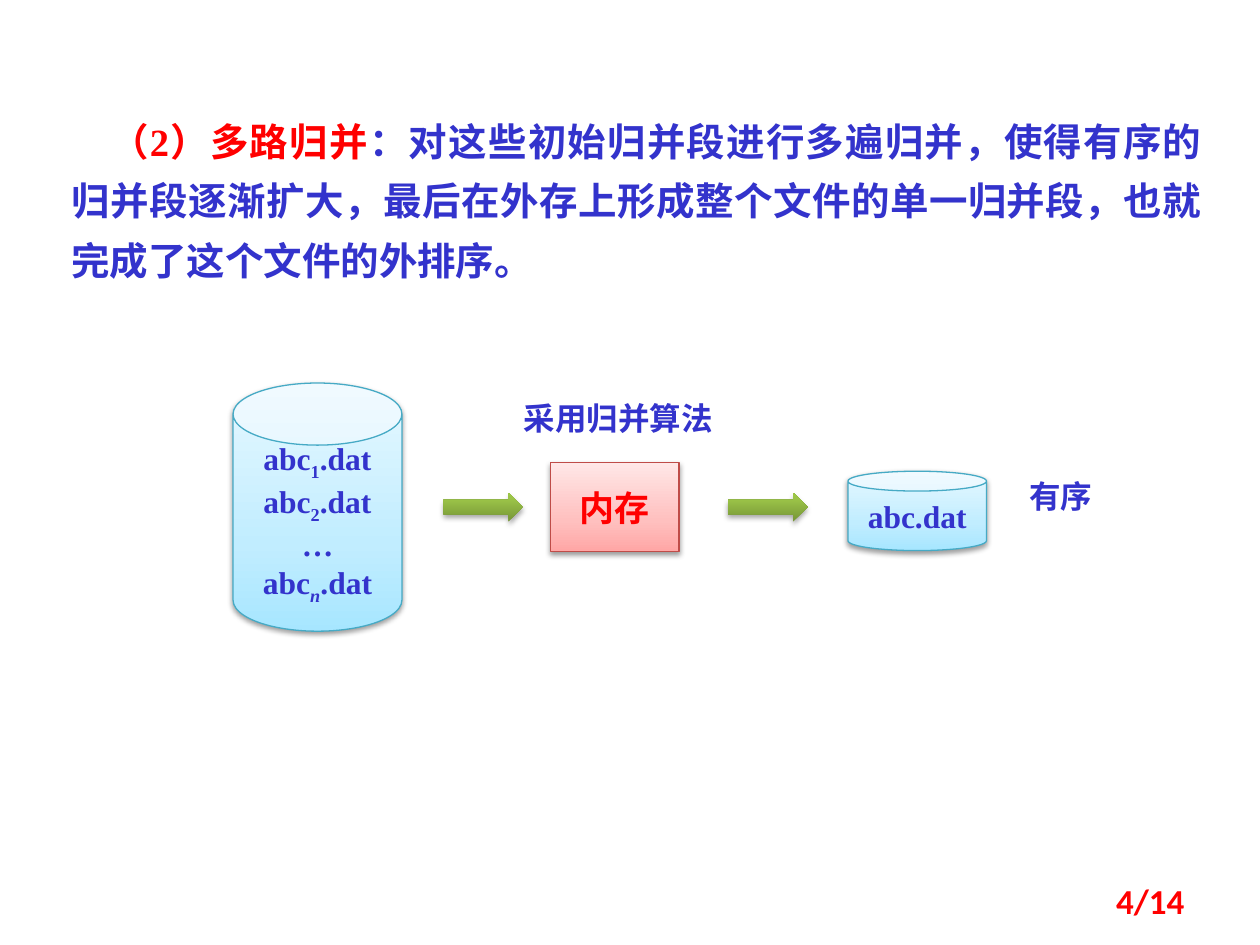
from dataclasses import dataclass

from lxml import etree
from pptx import Presentation
from pptx.dml.color import RGBColor
from pptx.enum.shapes import MSO_SHAPE
from pptx.enum.text import MSO_ANCHOR, PP_ALIGN
from pptx.oxml.ns import qn
from pptx.util import Inches, Pt

RECT, CAN, ARROW = MSO_SHAPE.RECTANGLE, MSO_SHAPE.CAN, MSO_SHAPE.RIGHT_ARROW
LEFT, CENTER, RIGHT, JUSTIFY = (PP_ALIGN.LEFT, PP_ALIGN.CENTER,
                                PP_ALIGN.RIGHT, PP_ALIGN.JUSTIFY)
TOP, MIDDLE = MSO_ANCHOR.TOP, MSO_ANCHOR.MIDDLE


@dataclass(frozen=True)
class Theme:
    blue: str = "3333CC"
    red: str = "FF0000"
    body: int = 22
    strong: int = 20
    label: int = 18
    serif: str = "Times New Roman"
    cjk: str = "Noto Sans CJK SC"
    number: str = "Calibri"
    memory: tuple = ((0, "FFA6A5"), (35, "FFC0BF"), (100, "FFE7E7"))
    memory_line: str = "BF4C48"
    disk: tuple = ((0, "A7E6FF"), (35, "C1EDFF"), (100, "E7F8FF"))
    disk_line: str = "46AAC5"
    arrow: tuple = ((0, "779737"), (80, "9BC348"), (100, "9DC746"))


T = Theme()


def add_run(p, text, size, font, color, subscript=False, italic=False):
    r = p.add_run()
    r.text = text
    formats = {"size": Pt(size), "name": font, "bold": True, "italic": italic}
    for name, value in formats.items():
        setattr(r.font, name, value)
    r.font.color.rgb = RGBColor.from_string(color)
    rPr = r.font._element
    etree.SubElement(rPr, qn("a:ea"), typeface=T.cjk)
    if subscript:
        rPr.set("baseline", "-25000")


def add_text(s, box, runs, size, font, align=LEFT, anchor=TOP):
    """Add a one-paragraph text box; runs are (text, colour) pairs."""
    tf = s.shapes.add_textbox(*map(Inches, box)).text_frame
    tf.word_wrap = True
    tf.vertical_anchor = anchor
    p = tf.paragraphs[0]
    p.alignment = align
    for text, color in runs:
        add_run(p, text, size, font, color)
    return p


def set_gradient(sp, stops):
    """Fill from bottom to top with (percent, colour) stops."""
    sp.fill.gradient()
    sp.fill.gradient_angle = 90
    stop_list = sp._element.spPr.find(".//" + qn("a:gsLst"))
    for stop in list(stop_list):
        stop_list.remove(stop)
    for percent, color in stops:
        stop = etree.SubElement(stop_list, qn("a:gs"), pos=str(percent * 1000))
        etree.SubElement(stop, qn("a:srgbClr"), val=color)


def set_shadow(sp, opacity, distance):
    sp.shadow.inherit = False
    effects = sp._element.spPr.find(qn("a:effectLst"))
    shadow = etree.SubElement(
        effects, qn("a:outerShdw"), blurRad=str(Pt(3.1)),
        dist=str(Pt(distance)), dir="5400000", rotWithShape="0")
    color = etree.SubElement(shadow, qn("a:srgbClr"), val="000000")
    etree.SubElement(color, qn("a:alpha"), val=str(opacity * 1000))


def add_block(s, kind, box, stops, line=None):
    sp = s.shapes.add_shape(kind, *map(Inches, box))
    set_gradient(sp, stops)
    if line:
        sp.line.color.rgb = RGBColor.from_string(line)
        sp.line.width = Pt(0.75)
        set_shadow(sp, 38, 1.6)
    else:
        sp.line.fill.background()
        set_shadow(sp, 35, 1.8)
    sp.text_frame.word_wrap = False
    sp.text_frame.vertical_anchor = MIDDLE
    return sp


def add_disk(s, box, names, lid):
    """Add a can listing file names, each (stem, subscript, ending)."""
    sp = add_block(s, CAN, box, T.disk, T.disk_line)
    sp.adjustments[0] = lid
    tf = sp.text_frame
    for i, (stem, index, ending) in enumerate(names):
        p = tf.add_paragraph() if i else tf.paragraphs[0]
        p.alignment = CENTER
        add_run(p, stem, T.label, T.serif, T.blue)
        if index:
            add_run(p, index, T.label, T.serif, T.blue, True, index == "n")
        if ending:
            add_run(p, ending, T.label, T.serif, T.blue)


def add_memory(s, box):
    sp = add_block(s, RECT, box, T.memory, T.memory_line)
    p = sp.text_frame.paragraphs[0]
    p.alignment = CENTER
    add_run(p, "内存", T.strong, T.cjk, T.red)


def add_explanation(s, box):
    p = add_text(s, box, [
        ("（2）多路归并", T.red),
        ("：对这些初始归并段进行多遍归并，使得有序的归并段逐渐扩大，"
         "最后在外存上形成整个文件的单一归并段，也就完成了这个文件的外排序。", T.blue),
    ], T.body, T.serif, JUSTIFY)
    p.line_spacing = Pt(34)
    p._p.get_or_add_pPr().set("indent", str(Pt(T.body)))


def add_merge_flow(s, x, y):
    """Draw the runs on disk, the memory and the sorted file from a corner."""
    runs = [("abc", "1", ".dat"), ("abc", "2", ".dat"),
            ("…", "", ""), ("abc", "n", ".dat")]
    add_memory(s, (x + 2.52, y + 0.63, 1.02, 0.71))
    add_disk(s, (x, y, 1.34, 1.97), runs, 0.368)
    add_disk(s, (x + 4.88, y + 0.7, 1.1, 0.63), [("abc.dat", "", "")], 0.25)
    for text, dx, dy, width in (("有序", 6.22, 0.7, 0.94),
                                ("采用归并算法", 2.21, 0.08, 1.81)):
        add_text(s, (x + dx, y + dy, width, 0.4), [(text, T.blue)],
                 T.label, T.cjk)
    for dx in (1.67, 3.93):
        add_block(s, ARROW, (x + dx, y + 0.87, 0.63, 0.23), T.arrow)


def add_page_number(s, box):
    add_text(s, box, [("4/14", T.red)], T.strong, T.number, RIGHT, MIDDLE)


def main():
    prs = Presentation()
    prs.slide_width, prs.slide_height = Inches(10), Inches(7.5)
    s = prs.slides.add_slide(prs.slide_layouts[6])
    add_explanation(s, (0.47, 0.78, 9.17, 1.53))
    add_merge_flow(s, 1.85, 3.04)
    add_page_number(s, (7.17, 6.95, 2.33, 0.4))
    prs.save("out.pptx")


if __name__ == "__main__":
    main()
